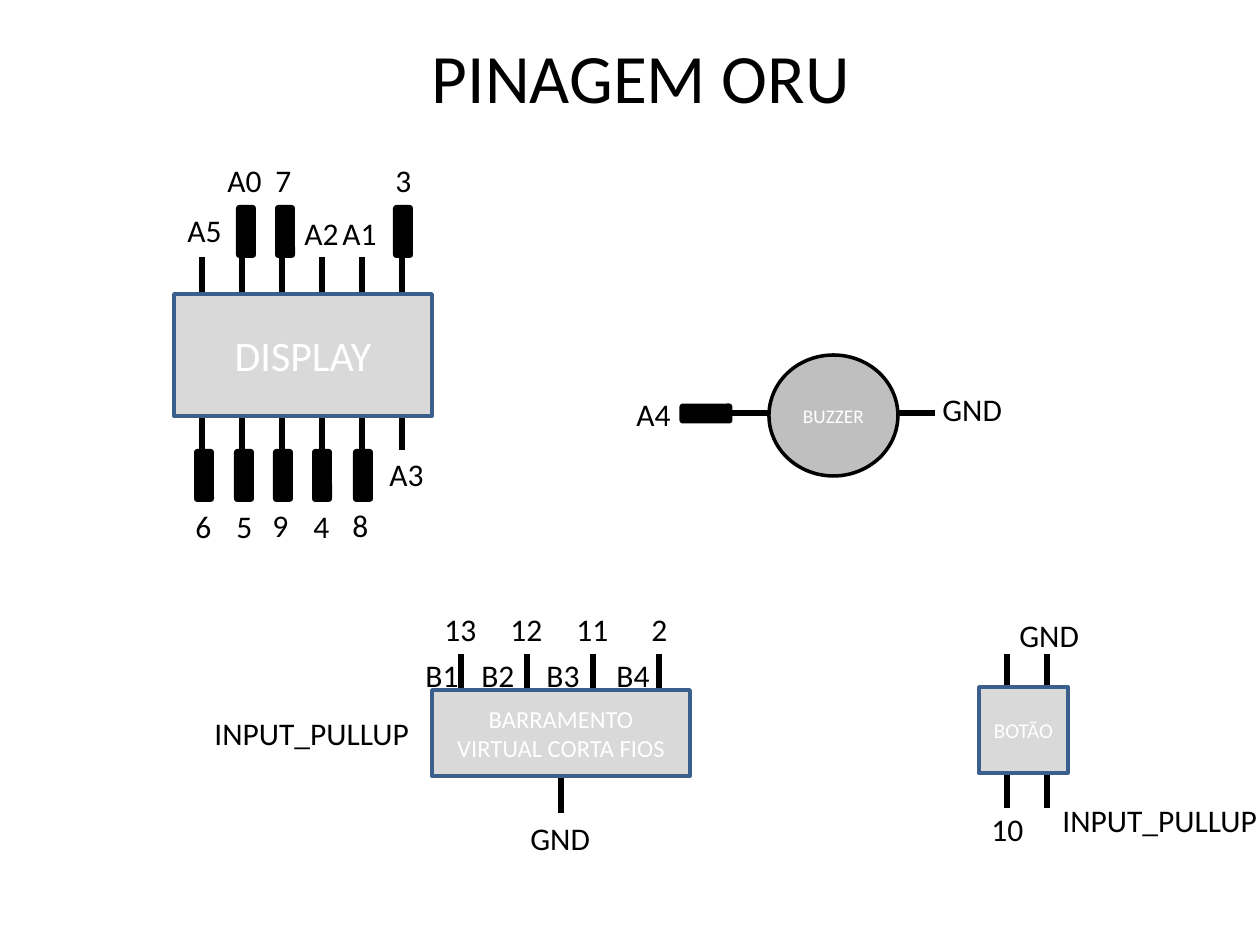
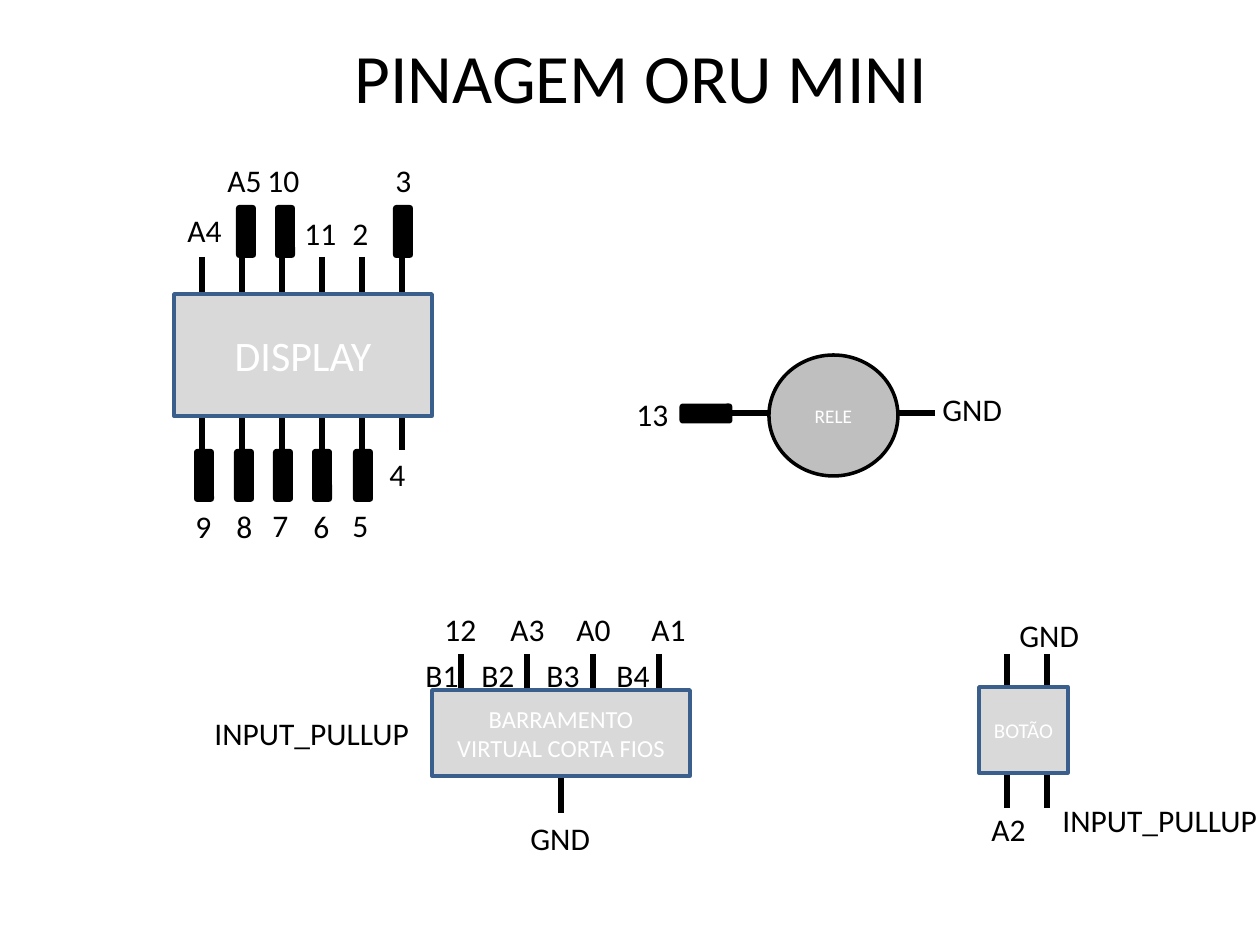
"""Build two pinout slides that share one wiring diagram."""
from lxml.etree import SubElement
from pptx import Presentation
from pptx.dml.color import RGBColor
from pptx.enum.shapes import MSO_CONNECTOR, MSO_SHAPE
from pptx.enum.text import MSO_ANCHOR, MSO_AUTO_SIZE, PP_ALIGN
from pptx.oxml.ns import qn
from pptx.util import Pt

THEME = {
    "font": "Calibri",
    "ink": RGBColor(0x00, 0x00, 0x00),
    "paper": RGBColor(0xFF, 0xFF, 0xFF),
    "block": RGBColor(0xD9, 0xD9, 0xD9),
    "disc": RGBColor(0xBF, 0xBF, 0xBF),
    "edge": RGBColor(0x3A, 0x5F, 0x8C),
    "title": 39.6,
    "label": 18,
    "wire": 3,
    "outline": 2,
}
SCALE = 914400 / 126


def px(*lengths):
    return [round(n * SCALE) for n in lengths]


def write(tf, text, size, color, align, **frame):
    for name, value in frame.items():
        setattr(tf, name, value)
    p = tf.paragraphs[0]
    p.alignment = align
    r = p.add_run()
    r.text = text
    font = {"name": THEME["font"], "size": Pt(size), "bold": False}
    for name, value in font.items():
        setattr(r.font, name, value)
    r.font.color.rgb = color


BOARDS = [
    {
        "title": "PINAGEM ORU",
        "part": "BUZZER",
        "lefts": (263, 330),
        "top": ["A5", "A0", "7", "A2", "A1", "3"],
        "bottom": ["6", "5", "9", "4", "8", "A3"],
        "bus": ["13", "12", "11", "2"],
        "single": ["A4", "10"],
    },
    {
        "title": "PINAGEM ORU MINI",
        "part": "RELE",
        "lefts": (255, 340),
        "top": ["A4", "A5", "10", "11", "2", "3"],
        "bottom": ["9", "8", "7", "6", "5", "4"],
        "bus": ["12", "A3", "A0", "A1"],
        "single": ["13", "A2"],
    },
]

display_pins = [202 + 40 * i for i in range(6)]
bus_pins = [461 + 66 * i for i in range(4)]
button_pins = [1007, 1047]
WIRES = [(561, 776, 561, 813), (732, 413, 769, 413), (898, 413, 935, 413)]
for pins, top, bottom in [
    (display_pins, 257, 294),
    (display_pins, 413, 450),
    (bus_pins, 654, 690),
    (button_pins, 654, 690),
    (button_pins, 771, 808),
]:
    WIRES += [(x, top, x, bottom) for x in pins]

RESISTORS = [(x, 205, 0) for x in (236, 275, 393)]
RESISTORS += [(x, 449, 0) for x in (194, 234, 273, 312, 353)]
RESISTORS += [(696, 387, 270)]

FIXED_LABELS = [
    ("GND", 518, 813),
    ("GND", 930, 384),
    ("GND", 1007, 610),
    ("INPUT_PULLUP", 202, 708),
    ("INPUT_PULLUP", 1050, 795),
    ("B1", 413, 650),
    ("B2", 469, 650),
    ("B3", 534, 650),
    ("B4", 604, 650),
]
LABEL_WIDTHS = {1: 42, 2: 59, 3: 86, 12: 222}

prs = Presentation()
prs.slide_width, prs.slide_height = px(1260, 945)

for board in BOARDS:
    s = prs.slides.add_slide(prs.slide_layouts[5])
    title = s.shapes.title
    title.left, title.top, title.width, title.height = px(74, 37, 1134, 77)
    write(title.text_frame, board["title"], THEME["title"], THEME["ink"], PP_ALIGN.CENTER,
          vertical_anchor=MSO_ANCHOR.MIDDLE, auto_size=MSO_AUTO_SIZE.NONE, word_wrap=True)

    for wire in WIRES:
        line = s.shapes.add_connector(MSO_CONNECTOR.STRAIGHT, *px(*wire))
        line.line.width = Pt(THEME["wire"])
        line.line.color.rgb = THEME["ink"]
        SubElement(line._element.spPr, qn("a:effectLst"))

    for kind, box, fill, edge, text, size in [
        (MSO_SHAPE.RECTANGLE, (174, 294, 258, 122), "block", "edge", "DISPLAY", 24),
        (MSO_SHAPE.RECTANGLE, (432, 690, 258, 86), "block", "edge",
         "BARRAMENTO VIRTUAL CORTA FIOS", 14),
        (MSO_SHAPE.RECTANGLE, (979, 687, 89, 86), "block", "edge", "BOTÃO", 12),
        (MSO_SHAPE.OVAL, (769, 355, 129, 121), "disc", "ink", board["part"], 11),
    ]:
        sp = s.shapes.add_shape(kind, *px(*box))
        sp.shadow.inherit = False
        sp.fill.solid()
        sp.fill.fore_color.rgb = THEME[fill]
        sp.line.color.rgb = THEME[edge]
        sp.line.width = Pt(THEME["outline"])
        write(sp.text_frame, text, size, THEME["paper"], PP_ALIGN.CENTER,
              vertical_anchor=MSO_ANCHOR.MIDDLE, word_wrap=True)

    for left, top, angle in RESISTORS:
        sp = s.shapes.add_shape(MSO_SHAPE.ROUNDED_RECTANGLE, *px(left, top, 20, 53))
        sp.shadow.inherit = False
        sp.rotation = angle
        sp.fill.solid()
        sp.fill.fore_color.rgb = THEME["ink"]
        sp.line.fill.background()

    third, fifth = board["lefts"]
    labels = list(FIXED_LABELS)
    for names, lefts, tops in [
        (board["top"], (175, 215, third, 292, fifth, 383), (205, 155, 155, 208, 208, 155)),
        (board["bottom"], (183, 224, 260, 301, 340, 377), (501, 501, 500, 501, 500, 449)),
        (board["bus"], (432, 498, 564, 639), (604,) * 4),
        (board["single"], (624, 979), (389, 804)),
    ]:
        labels += zip(names, lefts, tops)
    for text, left, top in labels:
        sp = s.shapes.add_textbox(*px(left, top, LABEL_WIDTHS[len(text)], 50))
        write(sp.text_frame, text, THEME["label"], THEME["ink"], PP_ALIGN.LEFT,
              word_wrap=False, auto_size=MSO_AUTO_SIZE.SHAPE_TO_FIT_TEXT)

prs.save("out.pptx")
